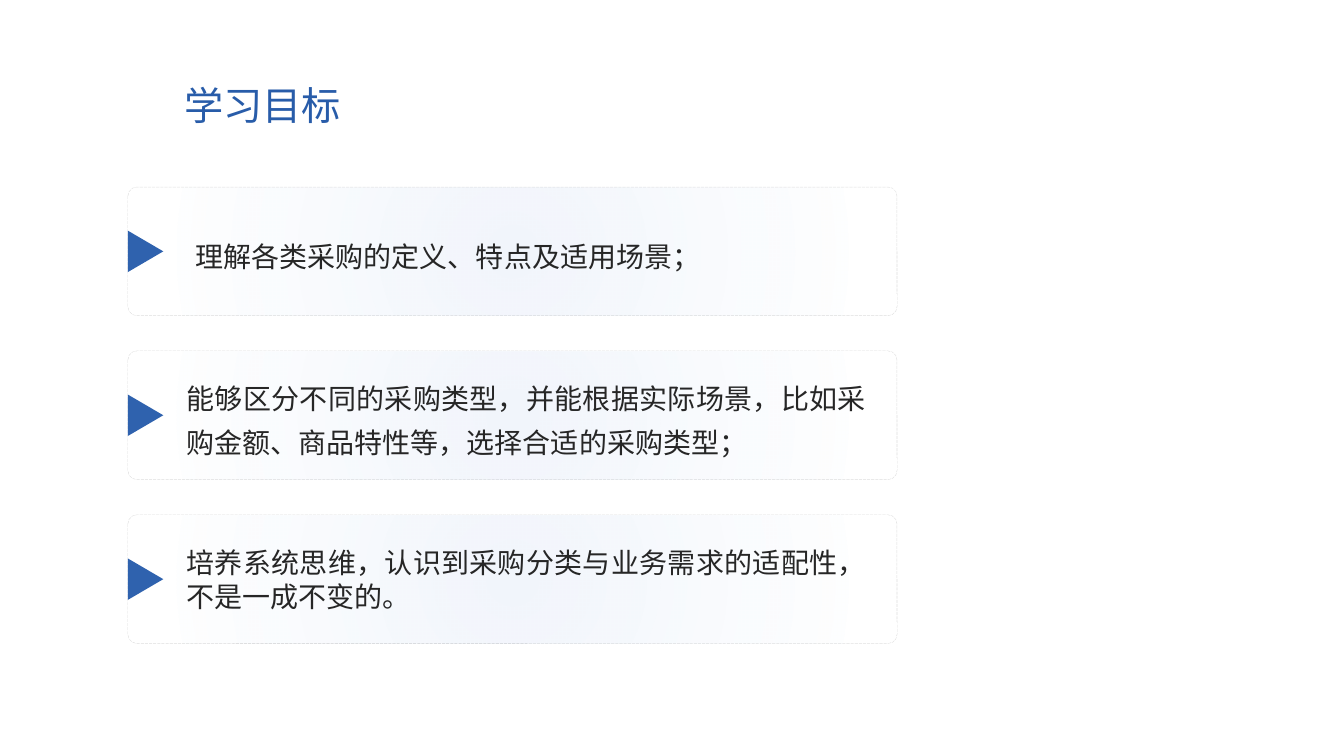
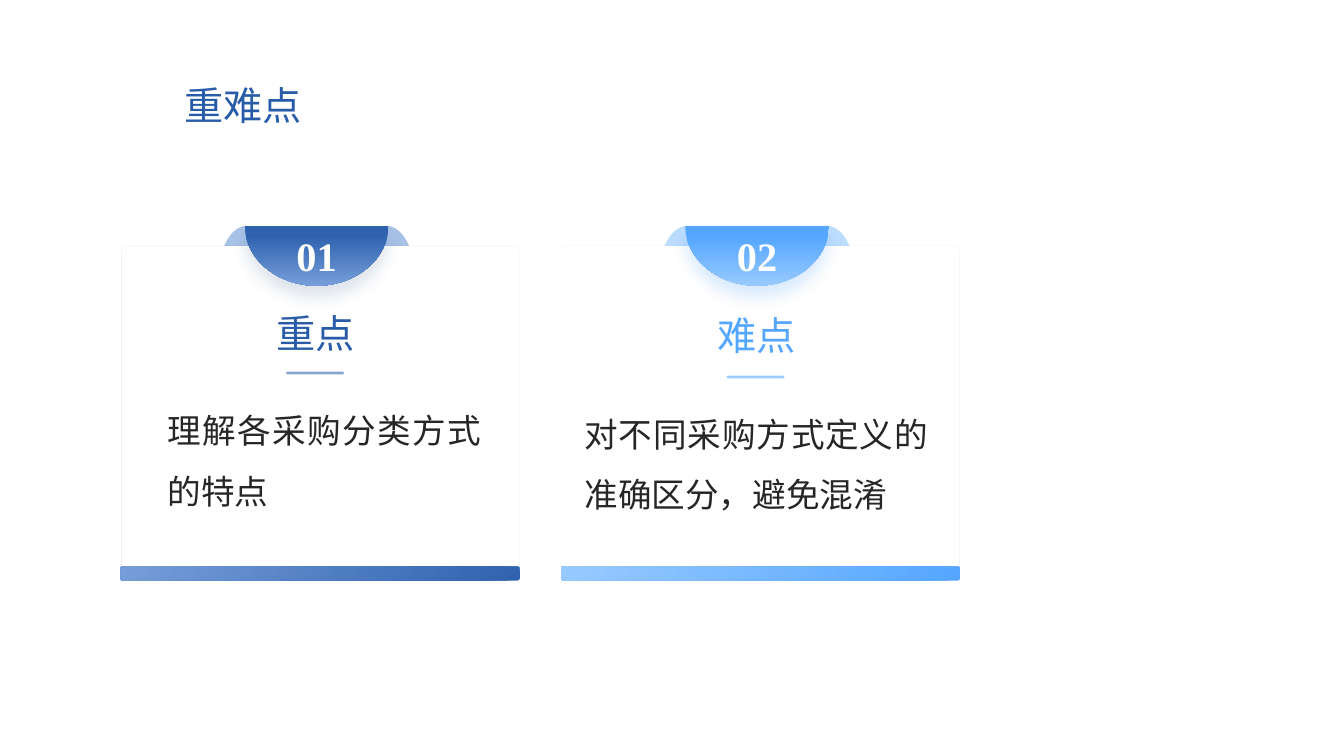
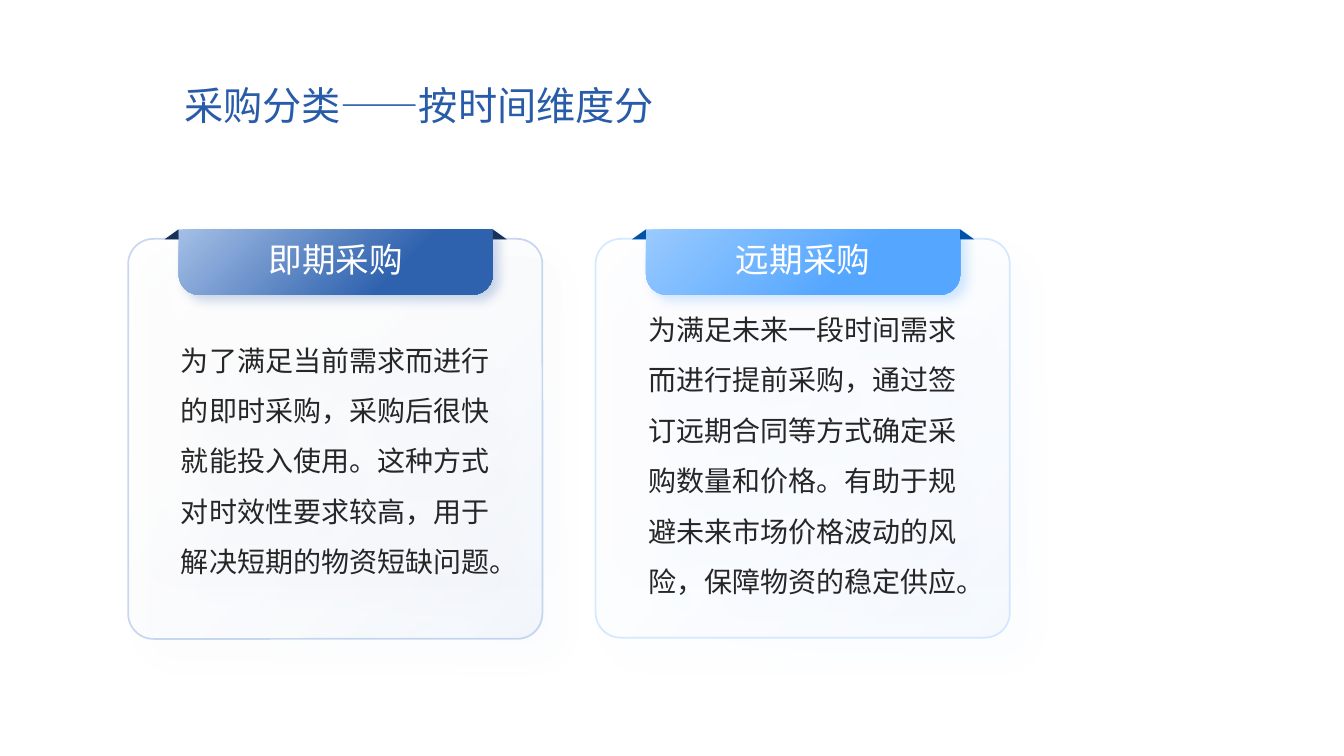
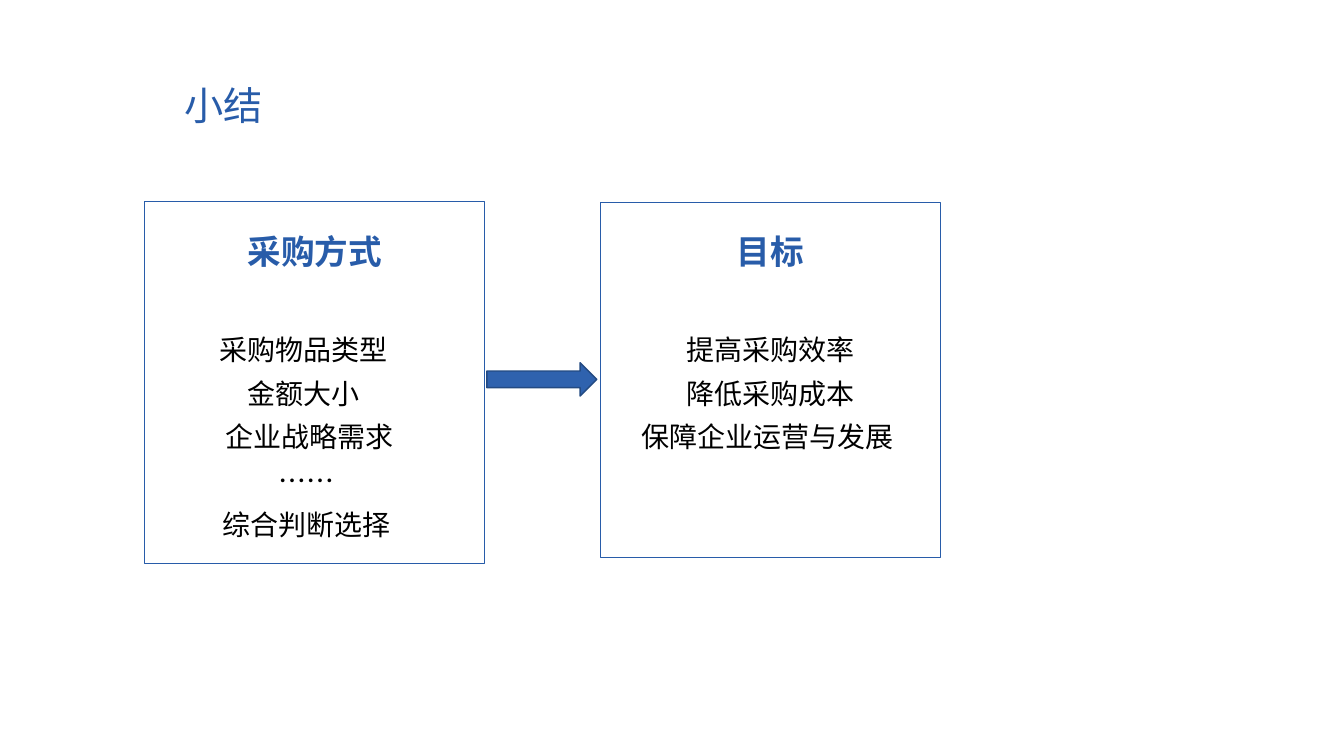
"""Build a four-slide lesson on types of procurement."""
import dataclasses

import pptx
import pptx.dml.color
import pptx.enum.dml
import pptx.enum.shapes
import pptx.enum.text
import pptx.oxml
import pptx.oxml.ns
import pptx.util

Cm = pptx.util.Cm
Pt = pptx.util.Pt
SHAPE = pptx.enum.shapes.MSO_SHAPE
ALIGN = pptx.enum.text.PP_ALIGN
ANCHOR = pptx.enum.text.MSO_ANCHOR
qn = pptx.oxml.ns.qn


@dataclasses.dataclass(frozen=True)
class Theme:
    """Colours, type sizes and fonts shared by all slides."""

    title: str = "285CA9"
    body: str = "262626"
    black: str = "000000"
    white: str = "FFFFFF"
    grey: str = "595959"
    blue: str = "2F62AE"
    mid_blue: str = "769EDA"
    soft_blue: str = "A4BFE6"
    pale_blue: str = "D1DFF3"
    deep_blue: str = "234A82"
    navy: str = "183157"
    sky: str = "54A6FF"
    soft_sky: str = "98CAFF"
    line_sky: str = "BBDBFF"
    pale_sky: str = "DDEDFF"
    deep_sky: str = "007AFE"
    dark_sky: str = "0051AA"
    title_size: float = 28
    number_size: float = 28.8
    heading_size: float = 24
    body_size: float = 20
    sans: str = "Noto Sans CJK SC"
    sans_jp: str = "Noto Sans CJK JP"
    serif: str = "Times New Roman"


T = Theme()


def style(size, name, color, bold=False):
    return {"font": {"size": Pt(size), "name": name, "bold": bold}, "color": color}


TITLE = style(T.title_size, T.sans, T.title)
GOAL = style(T.body_size, T.serif, T.body)
NUMBER = style(T.number_size, T.serif, T.white, True)
POINT = style(T.heading_size, T.serif, T.body)
BANNER = style(T.heading_size, T.sans_jp, T.white)
DEFINITION = style(T.body_size, T.sans_jp, T.body)
PANEL_HEADING = style(T.heading_size, T.sans_jp, T.title, True)
PANEL_ITEM = style(T.body_size, T.sans, T.black)

GOALS_TITLE = ("学习目标", 6.81)
GOALS = [
    {"text": "理解各类采购的定义、特点及适用场景；",
     "left": 4.93, "height": 3.23, "spacing": 1.3},
    {"text": "能够区分不同的采购类型，并能根据实际场景，比如采购金额、商品特性等，选择合适的采购类型；",
     "left": 4.7, "height": 2.67, "spacing": 1.3},
    {"text": "培养系统思维，认识到采购分类与业务需求的适配性，不是一成不变的。",
     "left": 4.7, "height": 1.17, "spacing": 1.0},
]

POINTS_TITLE = ("重难点", 6.81)
POINTS = [
    {"number": "01", "heading": "重点", "text": "理解各采购分类方式的特点",
     "dark": T.blue, "light": T.mid_blue, "shadow": T.deep_blue, "ink": T.title,
     "heading_top": 7.85, "anchor": ANCHOR.MIDDLE, "margins": None,
     "rule_top": 9.4, "text_box": (4.23, 10.21, 7.9, 2.67)},
    {"number": "02", "heading": "难点", "text": "对不同采购方式定义的准确区分，避免混淆",
     "dark": T.sky, "light": T.soft_sky, "shadow": T.deep_sky, "ink": T.sky,
     "heading_top": 7.95, "anchor": ANCHOR.BOTTOM, "margins": (0, 0, 0, 0),
     "rule_top": 9.5, "text_box": (14.73, 11.39, 8.66, 1.57)},
]

TIMES_TITLE = ("采购分类——按时间维度分", 15.29)
TIMES = [
    {"heading": "即期采购",
     "text": "为了满足当前需求而进行的即时采购，采购后很快就能投入使用。这种方式对时效性要求较高，用于解决短期的物资短缺问题。",
     "main": T.blue, "soft": T.soft_blue, "line": T.soft_blue, "pale": T.pale_blue,
     "fold": T.navy, "stop": 69, "top_margin": 2.03, "height": 10.08},
    {"heading": "远期采购",
     "text": "为满足未来一段时间需求而进行提前采购，通过签订远期合同等方式确定采购数量和价格。有助于规避未来市场价格波动的风险，保障物资的稳定供应。",
     "main": T.sky, "soft": T.soft_sky, "line": T.line_sky, "pale": T.pale_sky,
     "fold": T.dark_sky, "stop": 66, "top_margin": 1.78, "height": 10.05},
]

SUMMARY_TITLE = ("小结", 11.89)
SUMMARY = [
    {"heading": "采购方式",
     "items": ["采购物品类型 ", "金额大小 ", " 企业战略需求", "……", "综合判断选择"],
     "box": (3.65, 5.08, 8.57, 9.12), "list_box": (3.23, 8, 8.99, 5.38)},
    {"heading": "目标",
     "items": ["提高采购效率", "降低采购成本", "保障企业运营与发展 "],
     "box": (15.14, 5.1, 8.56, 8.96), "list_box": (15.14, 8, 8.56, 3.58)},
]


def rgb(color):
    return pptx.dml.color.RGBColor.from_string(color)


def parse_xml(body):
    return pptx.oxml.parse_xml(body.replace(">", f" {pptx.oxml.ns.nsdecls('a')}>", 1))


def color_xml(color, alpha):
    return f'<a:srgbClr val="{color}"><a:alpha val="{alpha * 1000}"/></a:srgbClr>'


def set_alpha(element, alpha):
    for color in element.iter(qn("a:srgbClr")):
        color.append(parse_xml(f'<a:alpha val="{alpha * 1000}"></a:alpha>'))


def linear(angle, *stops):
    return {"stops": stops, "shade": f'<a:lin ang="{angle * 60000}" scaled="0"/>'}


def radial(focus, *stops):
    sides = " ".join(f'{side}="{value * 1000}"' for side, value in zip("ltrb", focus))
    return {"stops": stops,
            "shade": f'<a:path path="circle"><a:fillToRect {sides}/></a:path>'}


def set_fill(shape, fill, alpha):
    if isinstance(fill, dict):
        stops = "".join(f'<a:gs pos="{pos * 1000}">{color_xml(color, opacity)}</a:gs>'
                        for pos, color, opacity in fill["stops"])
        shape.fill.background()
        blank = shape.element.spPr.find(qn("a:noFill"))
        blank.getparent().replace(blank, parse_xml(
            f'<a:gradFill><a:gsLst>{stops}</a:gsLst>{fill["shade"]}</a:gradFill>'))
        return
    shape.fill.solid()
    shape.fill.fore_color.rgb = rgb(fill)
    if alpha < 100:
        set_alpha(shape.element.spPr.find(qn("a:solidFill")), alpha)


def set_line(shape, color, width, alpha=100, dash=None):
    shape.line.color.rgb = rgb(color)
    shape.line.width = Pt(width)
    if dash:
        shape.line.dash_style = dash
    if alpha < 100:
        set_alpha(shape.element.spPr.find(qn("a:ln")), alpha)


def paint(shape, fill, alpha=100, line=None, shadow=None):
    shape.shadow.inherit = False
    set_fill(shape, fill, alpha)
    if line:
        set_line(shape, *line)
    else:
        shape.line.fill.background()
    if shadow:
        color, opacity, blur, distance, angle = shadow
        shape.element.spPr.find(qn("a:effectLst")).append(parse_xml(
            f'<a:outerShdw blurRad="{Pt(blur)}" dist="{Pt(distance)}" '
            f'dir="{angle * 60000}" algn="ctr" rotWithShape="0">'
            f"{color_xml(color, opacity)}</a:outerShdw>"))
    return shape


def add_shape(slide, kind, box, fill, adjust=(), **look):
    shape = slide.shapes.add_shape(kind, *map(Cm, box))
    for index, value in enumerate(adjust):
        shape.adjustments[index] = value
    return paint(shape, fill, **look)


def bend(shape, curves):
    for place in list(shape.element.iter(qn("a:moveTo"))):
        for _ in range(curves):
            curve = parse_xml("<a:cubicBezTo></a:cubicBezTo>")
            place.addnext(curve)
            for _ in range(3):
                segment = curve.getnext()
                curve.append(segment[0])
                segment.getparent().remove(segment)
            place = curve


def add_outline(slide, contours, curves, fill, **look):
    contours = [[(Cm(x), Cm(y)) for x, y in contour] for contour in contours]
    builder = slide.shapes.build_freeform(*contours[0][0], scale=1.0)
    for index, contour in enumerate(contours):
        if index:
            builder.move_to(*contour[0])
        builder.add_line_segments(contour[1:], close=True)
    shape = builder.convert_to_shape()
    bend(shape, curves)
    return paint(shape, fill, **look)


def write(shape, lines, look, align=ALIGN.CENTER, spacing=None,
          anchor=ANCHOR.MIDDLE, margins=None):
    frame = shape.text_frame
    layout = {"word_wrap": True, "vertical_anchor": anchor}
    if margins:
        sides = ("margin_left", "margin_top", "margin_right", "margin_bottom")
        layout.update(zip(sides, map(Cm, margins)))
    for key, value in layout.items():
        setattr(frame, key, value)
    for index, line in enumerate(lines):
        paragraph = frame.add_paragraph() if index else frame.paragraphs[0]
        for key, value in {"alignment": align, "line_spacing": spacing}.items():
            setattr(paragraph, key, value)
        run = paragraph.add_run()
        run.text = line
        for key, value in look["font"].items():
            setattr(run.font, key, value)
        run.font.color.rgb = rgb(look["color"])
    name = look["font"]["name"]
    east_asian = T.sans if name == T.serif else name
    for properties in shape.element.iter(qn("a:rPr")):
        properties.append(parse_xml(f'<a:ea typeface="{east_asian}"></a:ea>'))


def add_text(slide, box, lines, look, **layout):
    write(slide.shapes.add_textbox(*map(Cm, box)), lines, look, **layout)


def add_slide(deck, title):
    slide = deck.slides.add_slide(deck.slide_layouts[6])
    text, width = title
    add_text(slide, (4.39, 1.83, width, 1.63), [text], TITLE, align=ALIGN.LEFT)
    return slide


def build_goals(deck):
    slide = add_slide(deck, GOALS_TITLE)
    left, first_top, width, height, pitch, text_right = 3.23, 4.72, 19.37, 3.23, 4.13, 21.82
    glow = radial((50, 50, 50, 50), (0, T.mid_blue, 10), (88, T.mid_blue, 0))
    layers = [
        {"fill": T.white,
         "line": (T.grey, 0.75, 20, pptx.enum.dml.MSO_LINE.SQUARE_DOT)},
        {"fill": T.white},
        {"fill": glow},
    ]
    for index, goal in enumerate(GOALS):
        top = first_top + index * pitch
        for layer in layers:
            add_shape(slide, SHAPE.ROUNDED_RECTANGLE, (left, top, width, height),
                      adjust=[0.07], **layer)
        marker = add_shape(slide, SHAPE.ISOSCELES_TRIANGLE,
                           (3.15, top + 1.17, 1.04, 0.89), T.blue)
        marker.rotation = 90
        text_top = top + (height - goal["height"]) / 2
        add_text(slide, (goal["left"], text_top, text_right - goal["left"], goal["height"]),
                 [goal["text"]], GOAL, align=ALIGN.JUSTIFY,
                 spacing=goal["spacing"], margins=(0, 0, 0, 0))


def build_points(deck):
    slide = add_slide(deck, POINTS_TITLE)
    badge_top, badge_reach, badge_height = 5.69, 1.81, 1.51
    ear_reach, ear_inner, ear_start, ear_height = 2.44, 1.68, 1.75, 0.86
    ear_bottom = badge_top + ear_height
    for index, point in enumerate(POINTS):
        left = 3.07 + index * 11.1
        center = left + 4.91
        dark, light = point["dark"], point["light"]
        ear = [(ear_start, badge_top), (2.08, badge_top), (2.33, badge_top + 0.36),
               (ear_reach, ear_bottom), (ear_inner, ear_bottom), (ear_inner, badge_top)]
        ears = [[(center + side * x, y) for x, y in ear] for side in (1, -1)]
        add_outline(slide, ears, 1, light, alpha=63)
        card = (left, 6.2, 10.01, 8.43)
        for layer in ({"line": (dark, 0.5, 13)}, {}):
            add_shape(slide, SHAPE.ROUNDED_RECTANGLE, card, T.white, [0.015], **layer)
        add_shape(slide, SHAPE.ROUNDED_RECTANGLE, (left - 0.03, 14.27, 10.06, 0.36),
                  linear(225, (0, dark, 100), (100, light, 100)))
        bowl = [(1, 0), (1, 0.55), (0.55, 1), (0, 1), (-0.55, 1), (-1, 0.55), (-1, 0)]
        badge = add_outline(
            slide,
            [[(center + x * badge_reach, badge_top + y * badge_height) for x, y in bowl]],
            2, linear(90, (16, dark, 100), (100, light, 100)),
            shadow=(point["shadow"], 15, 11, 8, 90))
        write(badge, [point["number"]], NUMBER)
        ends = (center - 0.74, point["rule_top"], center + 0.66, point["rule_top"])
        rule = slide.shapes.add_connector(
            pptx.enum.shapes.MSO_CONNECTOR.STRAIGHT, *map(Cm, ends))
        set_line(rule, dark, 2, 57)
        rule.element.spPr.find(qn("a:ln")).set("cap", "rnd")
        rule.element.spPr.append(parse_xml("<a:effectLst></a:effectLst>"))
        add_text(slide, (center - 4.12, point["heading_top"], 8.2, 1.09),
                 [point["heading"]], {**TITLE, "color": point["ink"]},
                 anchor=point["anchor"], margins=point["margins"])
        add_text(slide, point["text_box"], [point["text"]], POINT, align=ALIGN.JUSTIFY,
                 spacing=1.5, anchor=ANCHOR.BOTTOM, margins=(0, 0, 0, 0))


def build_times(deck):
    slide = add_slide(deck, TIMES_TITLE)
    top, width, banner_top, banner_width = 6.02, 10.44, 5.78, 7.92
    fold_width, fold_height = 0.35, 0.25
    for index, kind in enumerate(TIMES):
        left = 3.23 + index * 11.78
        main = kind["main"]
        shadow = (main, 8, 22, 18, 45)
        add_shape(slide, SHAPE.ROUNDED_RECTANGLE, (left, top, width, 8.36), T.white,
                  [0.063], alpha=5, shadow=shadow)
        card = add_shape(slide, SHAPE.ROUNDED_RECTANGLE, (left, top, width, kind["height"]),
                         radial((100, 100, 0, 0), (0, kind["pale"], 20), (100, T.white, 0)),
                         [0.063], line=(kind["line"], 1.25, 60), shadow=shadow)
        write(card, [kind["text"]], DEFINITION, spacing=1.5,
              margins=(0.94, kind["top_margin"], 0.94, 1.35))
        banner_left = left + (width - banner_width) / 2 + 0.01
        banner = add_shape(
            slide, SHAPE.ROUND_2_SAME_RECTANGLE,
            (banner_left, banner_top, banner_width, 1.65),
            linear(45, (0, kind["soft"], 100), (kind["stop"], main, 100), (100, main, 100)),
            [0, 0.314], shadow=(main, 25, 8, 6, 45))
        write(banner, [kind["heading"]], BANNER)
        for fold_left, flipped in ((banner_left - fold_width, False),
                                   (banner_left + banner_width, True)):
            fold = add_shape(slide, SHAPE.ISOSCELES_TRIANGLE,
                             (fold_left, banner_top, fold_width, fold_height),
                             kind["fold"], [1])
            if flipped:
                fold.element.spPr.find(qn("a:xfrm")).set("flipH", "1")


def build_summary(deck):
    slide = add_slide(deck, SUMMARY_TITLE)
    for panel in SUMMARY:
        left, _, width, _ = panel["box"]
        add_shape(slide, SHAPE.RECTANGLE, panel["box"], T.white, alpha=59,
                  line=(T.title, 0.75))
        add_text(slide, (left, 5.69, width, 1.27), [panel["heading"]],
                 PANEL_HEADING, anchor=ANCHOR.TOP)
        add_text(slide, panel["list_box"], panel["items"], PANEL_ITEM,
                 spacing=1.3, anchor=ANCHOR.TOP)
    add_shape(slide, SHAPE.RIGHT_ARROW, (12.27, 9.14, 2.77, 0.84), T.blue,
              line=(T.deep_blue, 1))


def main():
    deck = pptx.Presentation()
    deck.slide_width, deck.slide_height = Cm(33.87), Cm(19.05)
    for build in (build_goals, build_points, build_times, build_summary):
        build(deck)
    deck.save("out.pptx")


if __name__ == "__main__":
    main()
